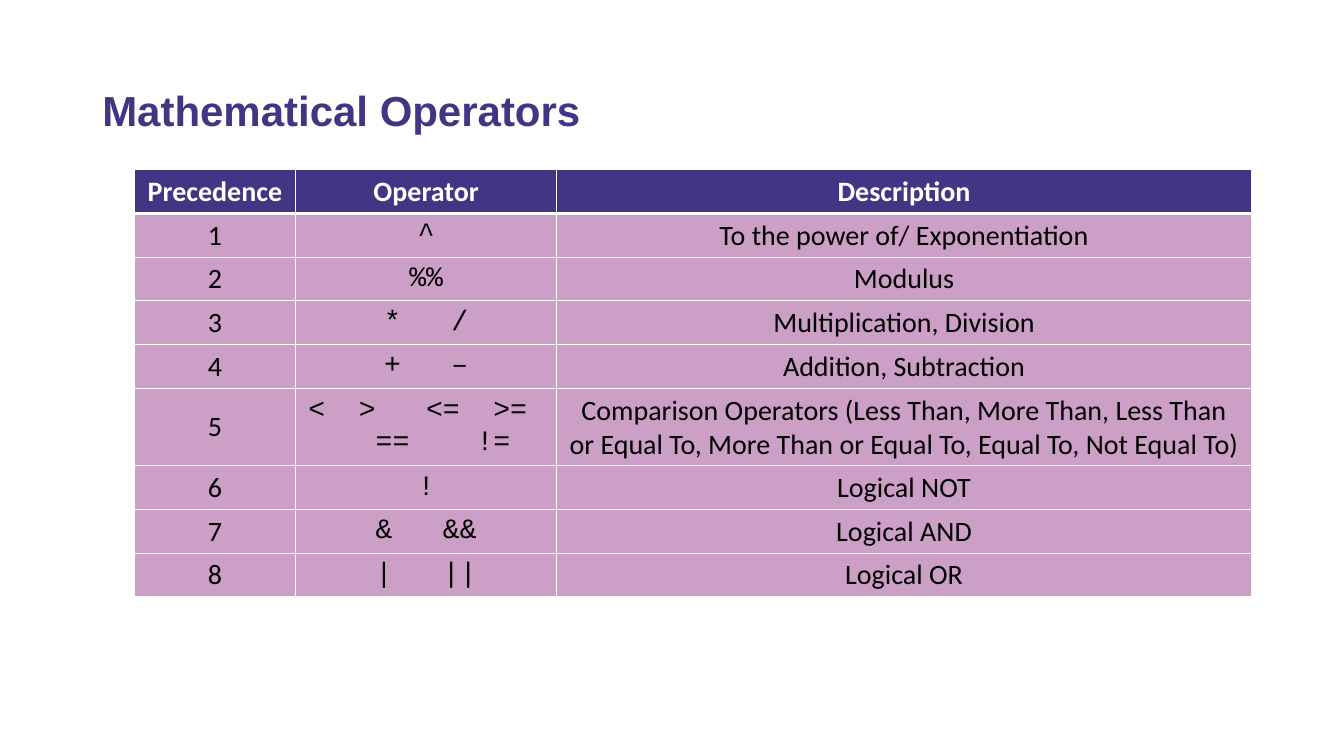
import pptx
import pptx.util
import pptx.dml.color
import pptx.enum.text
import pptx.oxml.ns
import lxml.etree
from dataclasses import dataclass

Pt = pptx.util.Pt
RGB = pptx.dml.color.RGBColor.from_string
ALIGN = pptx.enum.text.PP_ALIGN
MIDDLE = pptx.enum.text.MSO_ANCHOR.MIDDLE


@dataclass(frozen=True)
class Theme:
    head: str = "423583"
    body: str = "9B4392"
    alpha: int = 51
    ink: str = "000000"
    white: str = "FFFFFF"
    title_font: str = "Arial"
    text_font: str = "Calibri"
    code_font: str = "Courier New"
    title_size: int = 30
    cell_size: int = 20
    thin: int = 1
    thick: int = 3


THEME = Theme()
HEADS = ("Precedence", "Operator", "Description")
LEVELS = (
    ("^", "To the power of/ Exponentiation"),
    ("%%", "Modulus"),
    ("*   /", "Multiplication, Division"),
    ("+   –", "Addition, Subtraction"),
    ("<  >   <=  >=    ==    !=",
     "Comparison Operators (Less Than, More Than, Less Than or Equal To, "
     "More Than or Equal To, Equal To, Not Equal To)"),
    ("!", "Logical NOT"),
    ("&   &&", "Logical AND"),
    ("|   ||", "Logical OR"),
)


def style(para, name, size, color, bold):
    font = para.font
    font.name, font.size, font.bold = name, Pt(size), bold
    font.color.rgb = RGB(color)


def add(parent, tag, **attrs):
    node = lxml.etree.SubElement(parent, pptx.oxml.ns.qn(tag))
    for key, value in attrs.items():
        node.set(key, str(value))
    return node


def border(cell, top, low):
    """Draw white lines round a cell, placed ahead of its fill."""
    props = cell._tc.get_or_add_tcPr()
    sides = (("L", THEME.thin), ("R", THEME.thin), ("T", top), ("B", low))
    for spot, (side, width) in enumerate(sides):
        line = add(props, "a:ln" + side, w=int(Pt(width)))
        add(add(line, "a:solidFill"), "a:srgbClr", val=THEME.white)
        props.insert(spot, line)


def paint(cell, color, alpha=None):
    cell.fill.solid()
    cell.fill.fore_color.rgb = RGB(color)
    if alpha is not None:
        tint = cell._tc.tcPr.find(".//" + pptx.oxml.ns.qn("a:srgbClr"))
        add(tint, "a:alpha", val=alpha * 1000)


def add_title(slide, text, left, top, width, height):
    box = slide.shapes.add_textbox(Pt(left), Pt(top), Pt(width), Pt(height))
    frame = box.text_frame
    frame.word_wrap = True
    frame.vertical_anchor = MIDDLE
    para = frame.paragraphs[0]
    para.text = text
    para.line_spacing = 0.9
    style(para, THEME.title_font, THEME.title_size, THEME.head, True)


def add_grid(slide, left, top, widths, row_high):
    rows = [HEADS] + [(str(rank), *level)
                      for rank, level in enumerate(LEVELS, 1)]
    table = slide.shapes.add_table(
        len(rows), len(widths), Pt(left), Pt(top),
        Pt(sum(widths)), Pt(row_high * len(rows))).table
    table.horz_banding = False
    for col, width in zip(table.columns, widths):
        col.width = Pt(width)

    for r, row in enumerate(rows):
        head = r == 0
        for c, text in enumerate(row):
            cell = table.cell(r, c)
            cell.vertical_anchor = MIDDLE
            para = cell.text_frame.paragraphs[0]
            para.text = text
            para.alignment = ALIGN.CENTER
            code = c == 1 and not head
            style(para, THEME.code_font if code else THEME.text_font,
                  THEME.cell_size, THEME.white if head else THEME.ink, head)
            if head:
                paint(cell, THEME.head)
            else:
                paint(cell, THEME.body, THEME.alpha)
            border(cell, THEME.thick if r == 1 else THEME.thin,
                   THEME.thick if head else THEME.thin)


def main():
    deck = pptx.Presentation()
    deck.slide_width, deck.slide_height = Pt(960), Pt(540)
    slide = deck.slides.add_slide(deck.slide_layouts[6])
    # Heading
    add_title(slide, "Mathematical Operators", 66, 28.8, 828, 104.4)
    # Operators in order of precedence
    add_grid(slide, 96, 121.2, (115.2, 186.5, 496.1), 29.2)
    deck.save("out.pptx")


if __name__ == "__main__":
    main()
